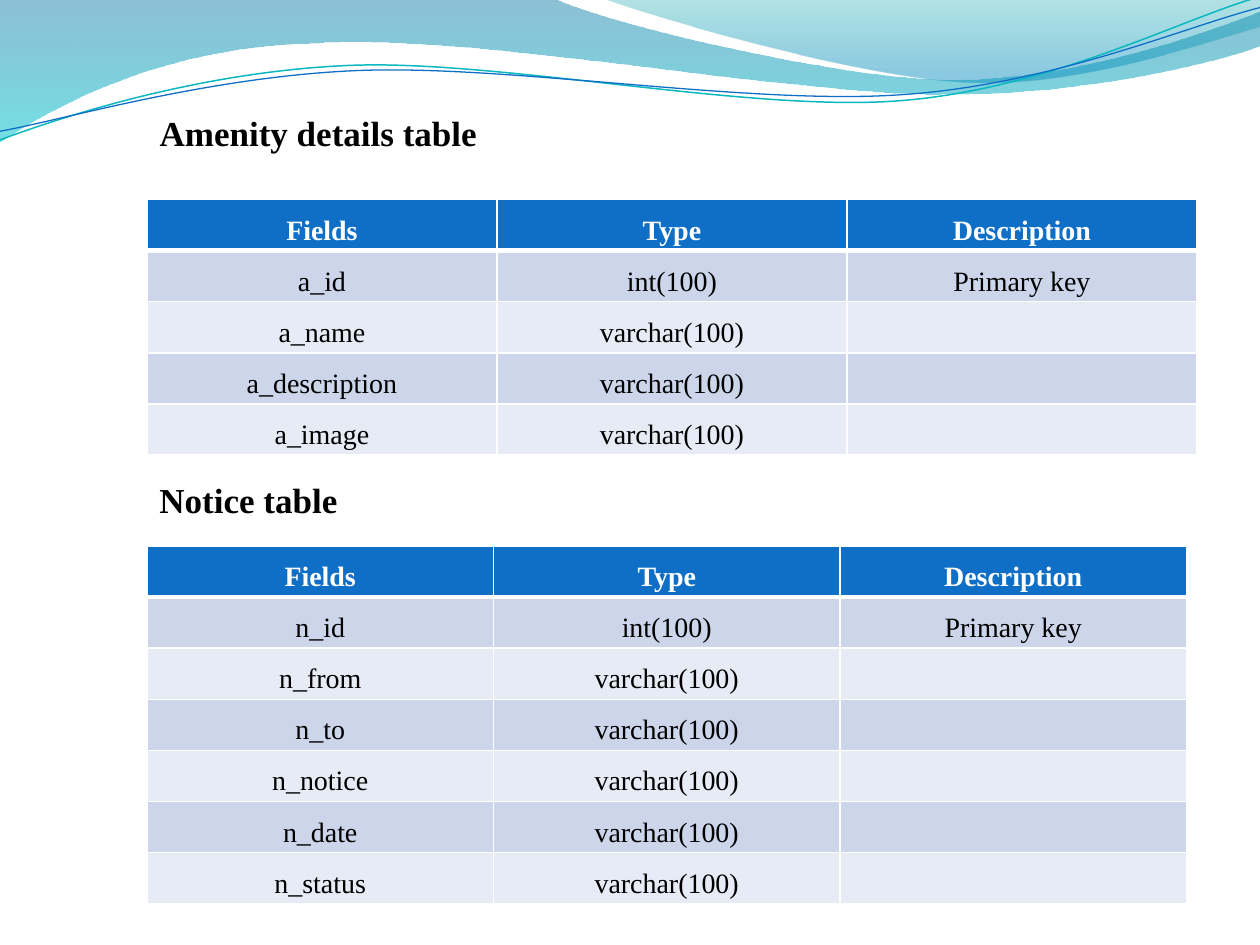
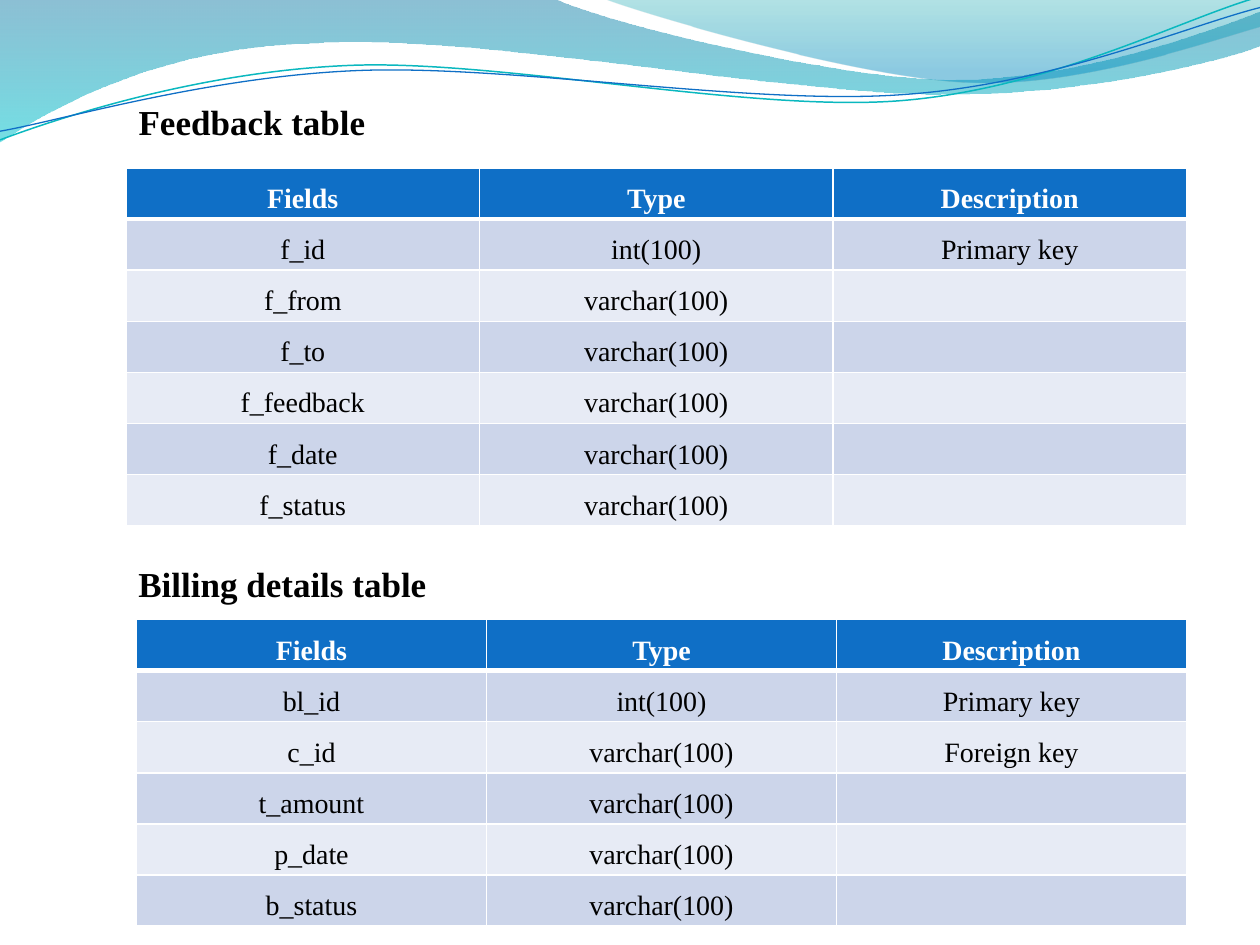
import dataclasses

import lxml.etree
import pptx
import pptx.dml.color
import pptx.enum.text
import pptx.oxml.ns
import pptx.util

Pt = pptx.util.Pt
qn = pptx.oxml.ns.qn


@dataclasses.dataclass(frozen=True)
class Theme:
    font: str = "Times New Roman"
    heading_size: int = 20
    cell_size: int = 16
    text: str = "000000"
    header_text: str = "FFFFFF"
    header_fill: str = "0F6FC6"
    row_fills: tuple = ("CCD5EA", "E7EBF5")
    border: str = "FFFFFF"
    teal_line: str = "0AB8BF"
    blue_line: str = "0F6FC6"
    # Gradient stops: position, colour, opacity in percent
    band: tuple = ((0, "0074A1", 45), (1, "00C6CF", 55))
    sheen: tuple = ((0, "00A1A9", 30), (0.8, "008BBF", 45))


# Outlines in points: one point is a straight step, three are a cubic curve
BAND = [
    [(0, 0)],
    [(316.8, -0.7)],
    [(342.7, 12.2), (478.1, 45.4), (545.8, 45.4)],
    [(614.2, 45.4), (689.8, 18.7), (720, 6.5)],
    [(720.7, 25.9)],
    [(707.8, 31.7), (626.4, 54.7), (537.1, 54)],
    [(447.8, 54), (275, 20.2), (185, 24.5)],
    [(92.9, 25.9), (33.1, 59.8), (-0.7, 81.4)],
    [(0, 0)],
]
SHEEN = [
    [(344.9, -0.7)],
    [(366.5, 7.9), (491, 44.6), (553.7, 46.8)],
    [(616.3, 49.7), (691.9, 23), (720, 15.1)],
    [(720, 0)],
    [(344.9, -0.7)],
]
# The waves are drawn level and then tilted
TEAL_WAVE = [
    [(-1.4, 63)],
    [(33.8, 51.7), (114.1, 29.4), (199.8, 29.9)],
    [(284.9, 30.3), (425.8, 67.3), (512.4, 64.9)],
    [(599, 62.4), (676.5, 25.7), (720.2, 15.5)],
]
BLUE_WAVE = [
    [(-1.1, 58)],
    [(32.9, 53.8), (118.3, 32.5), (204.1, 33)],
    [(290.6, 33.4), (428.9, 63.8), (515.5, 61.4)],
    [(601.4, 59.6), (678.4, 30.1), (721.4, 21.3)],
]
WAVE_TILT = 357.3
ROW_HEIGHT = 29.2
HEADING_HEIGHT = 31.5


def rgb(value):
    return pptx.dml.color.RGBColor.from_string(value)


def write_text(frame, text, *, font, size, color, bold=False, align="LEFT", spacing=1.0):
    paragraph = frame.paragraphs[0]
    paragraph.alignment = getattr(pptx.enum.text.PP_ALIGN, align)
    paragraph.line_spacing = spacing
    run = paragraph.add_run()
    run.text = text
    run.font.name = font
    run.font.size = Pt(size)
    run.font.bold = bold
    run.font.color.rgb = rgb(color)


def set_border(cell, side, color, width):
    properties = cell._tc.get_or_add_tcPr()
    line = lxml.etree.SubElement(properties, qn(f"a:ln{side}"), w=str(Pt(width)))
    fill = lxml.etree.SubElement(line, qn("a:solidFill"))
    lxml.etree.SubElement(fill, qn("a:srgbClr"), val=color)


def bend_outline(shape, segments):
    """Join each run of three straight steps that forms a curve into one cubic step."""
    steps = iter(list(shape._element.iter(qn("a:lnTo"))))
    for segment in segments[1:]:
        first, *others = [next(steps) for _ in segment]
        if others:
            first.tag = qn("a:cubicBezTo")
            for step in others:
                first.append(step[0])
                step.getparent().remove(step)


class SchemaDeck:
    def __init__(self, theme):
        self.theme = theme
        self.presentation = pptx.Presentation()
        self.presentation.slide_width = Pt(720)
        self.presentation.slide_height = Pt(540)
        self.slide = None

    def add_slide(self):
        layout = self.presentation.slide_layouts[5]
        self.slide = self.presentation.slides.add_slide(layout)

    def decorate_master(self):
        """Draw the bands and waves, and move them behind everything on the master."""
        shapes = [
            self.area(BAND, self.theme.band),
            self.area(SHEEN, self.theme.sheen),
            self.wave(TEAL_WAVE, self.theme.teal_line, 0.85),
            self.wave(BLUE_WAVE, self.theme.blue_line, 0.75),
        ]
        tree = self.presentation.slide_master.shapes._spTree
        for index, shape in enumerate(shapes):
            shape._element.nvSpPr.cNvPr.set("id", str(100 + index))
            tree.insert(2 + index, shape._element)

    def outline(self, segments, close):
        start, *rest = [(Pt(x), Pt(y)) for segment in segments for x, y in segment]
        builder = self.slide.shapes.build_freeform(*start)
        builder.add_line_segments(rest, close=close)
        shape = builder.convert_to_shape()
        bend_outline(shape, segments)
        shape.shadow.inherit = False
        return shape

    def area(self, segments, stops):
        shape = self.outline(segments, close=True)
        shape.line.fill.background()
        shape.fill.gradient()
        shape.fill.gradient_angle = 270
        for stop, (position, color, _) in zip(shape.fill.gradient_stops, stops):
            stop.position = position
            stop.color.rgb = rgb(color)
        # Opacity of each stop
        colors = list(shape._element.spPr.iter(qn("a:srgbClr")))
        for element, (_, _, opacity) in zip(colors, stops):
            lxml.etree.SubElement(element, qn("a:alpha"), val=str(opacity * 1000))
        return shape

    def wave(self, segments, color, width):
        shape = self.outline(segments, close=False)
        shape.rotation = WAVE_TILT
        shape.fill.background()
        shape.line.color.rgb = rgb(color)
        shape.line.width = Pt(width)
        return shape

    def heading(self, text, left, top, width, is_title=False):
        box = tuple(Pt(length) for length in (left, top, width, HEADING_HEIGHT))
        if is_title:
            shape = self.slide.shapes.title
            shape.left, shape.top, shape.width, shape.height = box
        else:
            shape = self.slide.shapes.add_textbox(*box)
        frame = shape.text_frame
        frame.word_wrap = True
        frame.auto_size = pptx.enum.text.MSO_AUTO_SIZE.SHAPE_TO_FIT_TEXT
        frame.vertical_anchor = pptx.enum.text.MSO_ANCHOR.TOP
        write_text(frame, text, font=self.theme.font, size=self.theme.heading_size,
                   color=self.theme.text, bold=True)

    def field_table(self, fields, left, top, width):
        """Draw a table of fields, given as a mapping of name to key description."""
        rows = [("Fields", "Type", "Description")]
        for name, description in fields.items():
            kind = "int(100)" if description == "Primary key" else "varchar(100)"
            rows.append((name, kind, description))
        table = self.slide.shapes.add_table(
            len(rows), 3, Pt(left), Pt(top), Pt(width), Pt(ROW_HEIGHT * len(rows))).table
        for row_index, row in enumerate(rows):
            table.rows[row_index].height = Pt(ROW_HEIGHT)
            for column_index, text in enumerate(row):
                self.cell(table.cell(row_index, column_index), text, row_index)

    def cell(self, cell, text, row_index):
        theme = self.theme
        is_header = row_index == 0
        cell.margin_left = cell.margin_right = Pt(5)
        cell.margin_top = cell.margin_bottom = 0
        # The rule below the header is heavier
        widths = {"L": 1, "R": 1, "T": 3 if row_index == 1 else 1, "B": 3 if is_header else 1}
        for side, width in widths.items():
            set_border(cell, side, theme.border, width)
        cell.fill.solid()
        cell.fill.fore_color.rgb = rgb(
            theme.header_fill if is_header else theme.row_fills[(row_index - 1) % 2])
        if text:
            write_text(cell.text_frame, text, font=theme.font, size=theme.cell_size,
                       color=theme.header_text if is_header else theme.text,
                       bold=is_header, align="CENTER", spacing=1.5)


def fields_of(*names, **keys):
    return {name: keys.get(name, "") for name in names}


def main():
    deck = SchemaDeck(Theme())

    # Amenities and notices
    deck.add_slide()
    deck.decorate_master()
    deck.heading("Amenity details table", 84, 60, 246, is_title=True)
    deck.field_table(fields_of("a_id", "a_name", "a_description", "a_image",
                               a_id="Primary key"), 84, 114, 600)
    deck.heading("Notice table", 84, 270, 198)
    deck.field_table(fields_of("n_id", "n_from", "n_to", "n_notice", "n_date", "n_status",
                               n_id="Primary key"), 84, 312, 594)

    # Feedback and billing
    deck.add_slide()
    deck.heading("Feedback table", 72, 54, 234, is_title=True)
    deck.field_table(fields_of("f_id", "f_from", "f_to", "f_feedback", "f_date", "f_status",
                               f_id="Primary key"), 72, 96, 606)
    deck.heading("Billing details table", 72, 318, 258)
    deck.field_table(fields_of("bl_id", "c_id", "t_amount", "p_date", "b_status",
                               bl_id="Primary key", c_id="Foreign key"), 78, 354, 600)

    deck.presentation.save("out.pptx")


if __name__ == "__main__":
    main()
